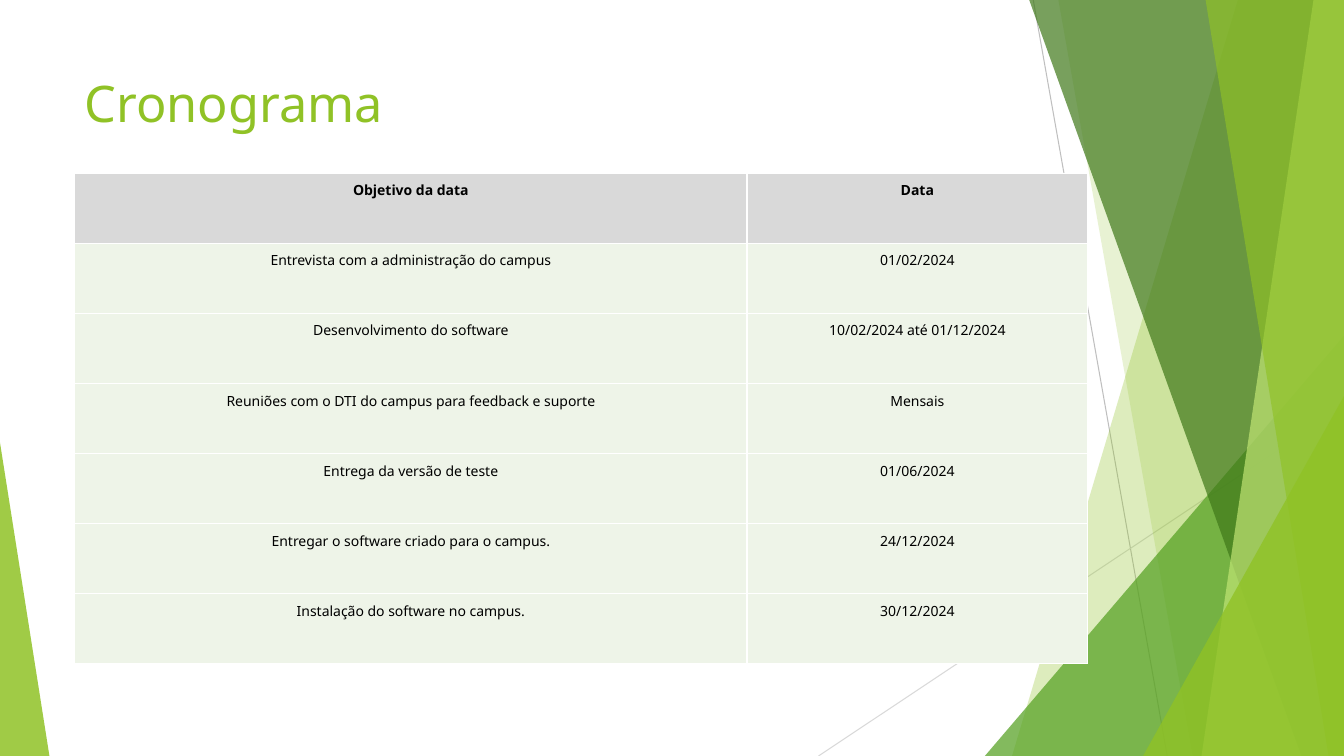
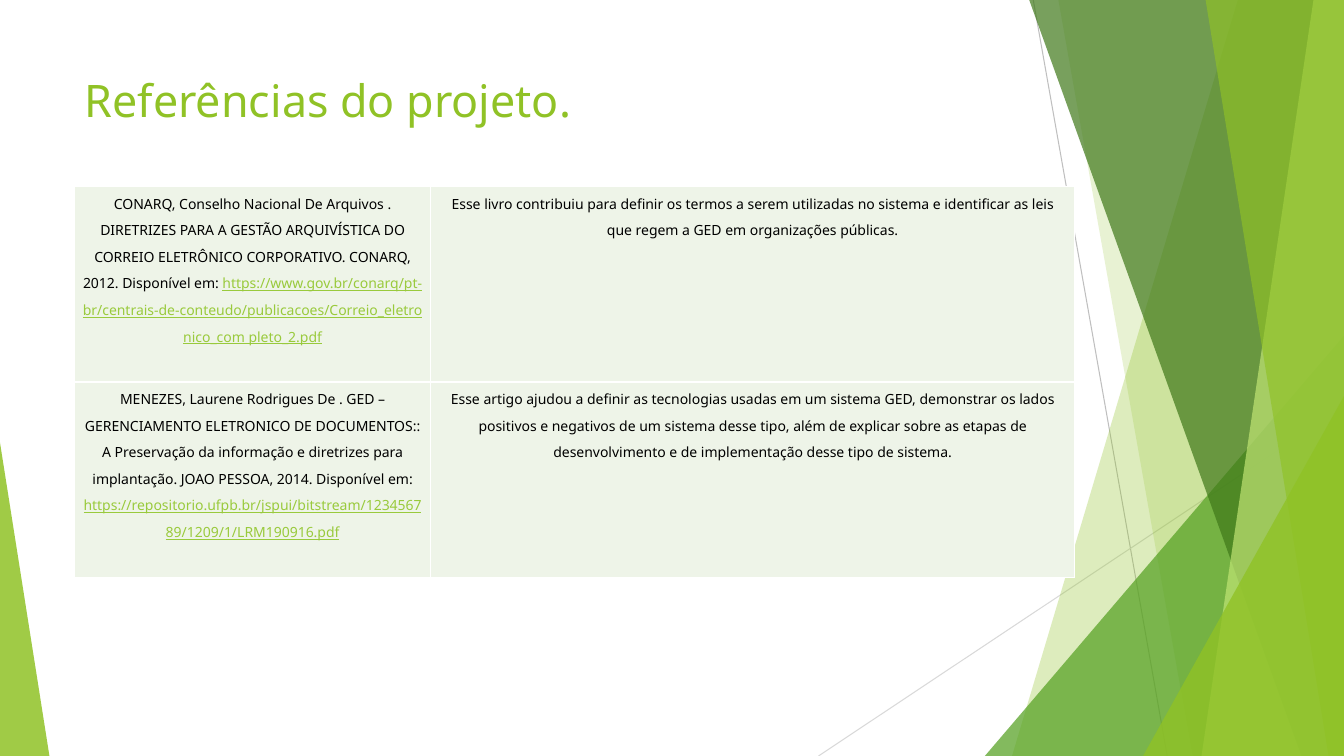
"""Build the schedule and references slides on a shared faceted backdrop."""
from dataclasses import dataclass

from lxml import etree
from pptx import Presentation
from pptx import util as u
from pptx.dml.color import RGBColor
from pptx.enum import shapes, text
from pptx.oxml import ns

WIDE, HIGH = u.Inches(13.33), u.Inches(7.5)
FONT = "Noto Sans"
HUES = {
    "lime": "90C226",
    "leaf": "54A021",
    "moss": "3F7819",
    "pale": "C0E474",
    "link": "99CA3C",
    "head": "D9D9D9",
    "body": "EEF4E8",
    "steel": "BFBFBF",
    "mist": "D9D9D9",
    "white": "FFFFFF",
    "black": "000000",
}


@dataclass(frozen=True)
class Ray:
    """A thin line between two points, in percent of the slide."""
    x1: float
    y1: float
    x2: float
    y2: float
    hue: str


@dataclass(frozen=True)
class Band:
    """A full-height facet from a slanted left edge to the right side."""
    top: float
    foot: float
    hue: str
    alpha: int


@dataclass(frozen=True)
class Wedge:
    """A right triangle standing on the bottom of the slide."""
    left: float
    right: float
    top: float
    apex: float
    hue: str
    alpha: int


@dataclass(frozen=True)
class Cell:
    """The text of a table cell, with an optional link after it."""
    words: str
    link: str = ""


@dataclass(frozen=True)
class Grid:
    """A table with its place and sizes in percent of the slide."""
    top: float
    cols: tuple[float, ...]
    row: float
    cells: list[tuple[Cell, ...]]
    after: float
    header: bool = False


@dataclass(frozen=True)
class Page:
    """A slide title with its size in points, and its table."""
    title: str
    size: int
    grid: Grid


RAYS = (
    Ray(76.88, 0, 86.85, 100, "steel"),
    Ray(100, 53.73, 60.9, 100, "mist"),
)
FACETS = (
    Band(92.1, 75.3, "lime", 30),
    Band(78.75, 88.73, "lime", 20),
    Wedge(73.28, 100, 44.4, 1, "leaf", 72),
    Band(76.58, 96.83, "moss", 70),
    Band(97.73, 89.4, "pale", 70),
    Band(89.7, 98.85, "lime", 65),
    Wedge(85.05, 100, 52.4, 1, "lime", 80),
    Wedge(0, 3.68, 58.53, 0, "lime", 85),
)
LEFT = 5.55

DATES = [
    ("Objetivo da data", "Data"),
    ("Entrevista com a administração do campus", "01/02/2024"),
    ("Desenvolvimento do software", "10/02/2024 até 01/12/2024"),
    ("Reuniões com o DTI do campus para feedback e suporte", "Mensais"),
    ("Entrega da versão de teste", "01/06/2024"),
    ("Entregar o software criado para o campus.", "24/12/2024"),
    ("Instalação do software no campus.", "30/12/2024"),
]
WORKS = [
    (
        Cell("CONARQ, Conselho Nacional De Arquivos . DIRETRIZES PARA A GESTÃO "
             "ARQUIVÍSTICA DO CORREIO ELETRÔNICO CORPORATIVO. CONARQ, 2012. "
             "Disponível em: ",
             "https://www.gov.br/conarq/pt-br/centrais-de-conteudo/publicacoes/"
             "Correio_eletronico_com pleto_2.pdf"),
        Cell("Esse livro contribuiu para definir os termos a serem utilizadas no "
             "sistema e identificar as leis que regem a GED em organizações "
             "públicas."),
    ),
    (
        Cell("MENEZES, Laurene Rodrigues De . GED – GERENCIAMENTO ELETRONICO DE "
             "DOCUMENTOS:: A Preservação da informação e diretrizes para "
             "implantação. JOAO PESSOA, 2014. Disponível em: ",
             "https://repositorio.ufpb.br/jspui/bitstream/123456789/1209/1/"
             "LRM190916.pdf"),
        Cell("Esse artigo ajudou a definir as tecnologias usadas em um sistema "
             "GED, demonstrar os lados positivos e negativos de um sistema desse "
             "tipo, além de explicar sobre as etapas de desenvolvimento e de "
             "implementação desse tipo de sistema."),
    ),
]
PAGES = (
    Page("Cronograma", 36, Grid(
        22.93, (50.03, 25.35), 9.27,
        [tuple(Cell(word) for word in row) for row in DATES], 6.2, True)),
    Page("Referências do projeto.", 32, Grid(
        24.67, (26.48, 47.93), 25.87, WORKS, 9)),
)


def across(share: float) -> int:
    """Turn a percentage of the slide width into a length."""
    return round(WIDE * share / 100)


def down(share: float) -> int:
    """Turn a percentage of the slide height into a length."""
    return round(HIGH * share / 100)


def tint(hue: str) -> RGBColor:
    """Look up a colour by its name."""
    return RGBColor.from_string(HUES[hue])


def paint(shape, hue: str, alpha: int) -> None:
    """Give a shape a see-through fill without line or shadow."""
    shape.shadow.inherit = False
    shape.line.fill.background()
    shape.fill.solid()
    shape.fill.fore_color.rgb = tint(hue)
    color = shape.fill._xPr.find(".//" + ns.qn("a:srgbClr"))
    etree.SubElement(color, ns.qn("a:alpha"), val=str(alpha * 1000))


def draw_ray(slide, ray: Ray) -> None:
    """Draw one thin line."""
    line = slide.shapes.add_connector(
        shapes.MSO_CONNECTOR.STRAIGHT,
        across(ray.x1), down(ray.y1), across(ray.x2), down(ray.y2))
    line.line.color.rgb = tint(ray.hue)
    line.line.width = u.Pt(0.75)
    etree.SubElement(line._element.spPr, ns.qn("a:effectLst"))


def draw_facet(slide, facet: Band | Wedge) -> None:
    """Draw one band or wedge of the backdrop."""
    if isinstance(facet, Band):
        pen = slide.shapes.build_freeform(across(facet.top), 0)
        pen.add_line_segments(
            [(WIDE, 0), (WIDE, HIGH), (across(facet.foot), HIGH)], close=True)
        shape = pen.convert_to_shape()
    else:
        shape = slide.shapes.add_shape(
            shapes.MSO_SHAPE.ISOSCELES_TRIANGLE,
            across(facet.left), down(facet.top),
            across(facet.right - facet.left), down(100 - facet.top))
        shape.adjustments[0] = facet.apex
    paint(shape, facet.hue, facet.alpha)


def style(para, size: int, hue: str, bold: bool = False) -> None:
    """Set the font of a paragraph."""
    font = para.font
    font.name, font.size, font.bold = FONT, u.Pt(size), bold
    font.color.rgb = tint(hue)


def draw_title(slide, page: Page) -> None:
    """Write the slide title."""
    box = slide.shapes.add_textbox(
        across(LEFT), down(8.93), across(70.5), down(9.6))
    box.text_frame.word_wrap = True
    para = box.text_frame.paragraphs[0]
    para.text = page.title
    style(para, page.size, "lime")


def edge(cell) -> None:
    """Rule the four sides of a cell in white."""
    props = cell._tc.get_or_add_tcPr()
    for side in ("lnL", "lnR", "lnT", "lnB"):
        rule = etree.SubElement(props, ns.qn("a:" + side), w=str(u.Pt(1)))
        fill = etree.SubElement(rule, ns.qn("a:solidFill"))
        etree.SubElement(fill, ns.qn("a:srgbClr"), val=HUES["white"])


def fill_cell(spot, cell: Cell, head: bool, after: float) -> None:
    """Write and style one table cell."""
    spot.margin_left = spot.margin_right = u.Inches(0.07)
    spot.margin_top = spot.margin_bottom = 0
    edge(spot)
    spot.fill.solid()
    spot.fill.fore_color.rgb = tint("head" if head else "body")
    para = spot.text_frame.paragraphs[0]
    para.text = cell.words
    para.alignment = text.PP_ALIGN.CENTER
    para.line_spacing = 1.4
    para.space_after = u.Pt(9 if head else after)
    style(para, 10, "black", head)
    if cell.link:
        run = para.add_run()
        run.text = cell.link
        run.font.underline = True
        run.font.color.rgb = tint("link")


def draw_grid(slide, grid: Grid) -> None:
    """Draw the table of a slide."""
    count = len(grid.cells)
    table = slide.shapes.add_table(
        count, len(grid.cols), across(LEFT), down(grid.top),
        across(sum(grid.cols)), down(grid.row * count)).table
    table.first_row = table.horz_banding = False
    for col, share in zip(table.columns, grid.cols):
        col.width = across(share)
    for r, row in enumerate(grid.cells):
        table.rows[r].height = down(grid.row)
        for c, cell in enumerate(row):
            fill_cell(table.cell(r, c), cell, grid.header and r == 0, grid.after)


def main() -> None:
    """Build and save the deck."""
    deck = Presentation()
    deck.slide_width, deck.slide_height = WIDE, HIGH
    for page in PAGES:
        slide = deck.slides.add_slide(deck.slide_layouts[6])
        for ray in RAYS:
            draw_ray(slide, ray)
        for facet in FACETS:
            draw_facet(slide, facet)
        draw_title(slide, page)
        draw_grid(slide, page.grid)
    deck.save("out.pptx")


main()
